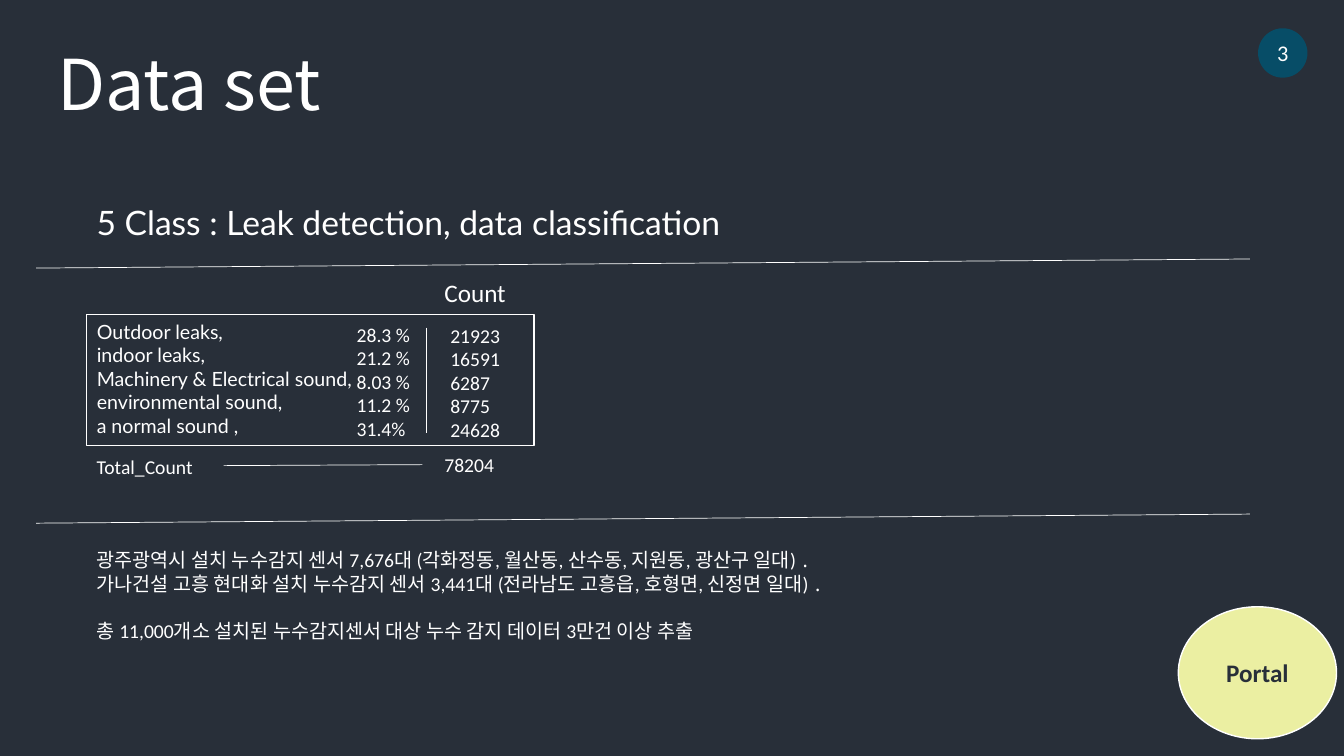
import typing

import lxml.etree
import pptx
import pptx.dml.color
import pptx.enum.shapes
import pptx.enum.text
import pptx.oxml.ns
import pptx.util

Pt = pptx.util.Pt
Shapes = pptx.enum.shapes.MSO_SHAPE
Align = pptx.enum.text.PP_ALIGN
Anchor = pptx.enum.text.MSO_ANCHOR

NAVY = pptx.dml.color.RGBColor(0x28, 0x2F, 0x39)
TEAL = pptx.dml.color.RGBColor(0x07, 0x4D, 0x67)
LIME = pptx.dml.color.RGBColor(0xEB, 0xEF, 0xA2)
WHITE = pptx.dml.color.RGBColor(0xFF, 0xFF, 0xFF)
KOREAN_FONT = "Noto Sans CJK KR"


class Box(typing.NamedTuple):
    left: float
    top: float
    width: float
    height: float


class Style(typing.NamedTuple):
    size: float = 14
    font: str = "Calibri"
    color: pptx.dml.color.RGBColor = WHITE
    bold: bool = False
    align: Align = Align.LEFT
    anchor: Anchor = Anchor.TOP


class Label(typing.NamedTuple):
    box: Box
    lines: list[str]
    style: Style = Style()


class Rule(typing.NamedTuple):
    x1: float
    y1: float
    x2: float
    y2: float


class SoundClass(typing.NamedTuple):
    name: str
    share: str
    count: str


SOUND_CLASSES = [
    SoundClass("Outdoor leaks,", "28.3 %", "21923"),
    SoundClass("indoor leaks,", "21.2 %", "16591"),
    SoundClass("Machinery & Electrical sound,", "8.03 %", "6287"),
    SoundClass("environmental sound,", "11.2 %", "8775"),
    SoundClass("a normal sound ,", "31.4%", "24628"),
]
SENSOR_NOTES = [
    "광주광역시 설치 누수감지 센서 7,676대 (각화정동, 월산동, 산수동, 지원동, 광산구 일대) ․",
    "가나건설 고흥 현대화 설치 누수감지 센서 3,441대 (전라남도 고흥읍, 호형면, 신정면 일대) ․",
    "총 11,000개소 설치된 누수감지센서 대상 누수 감지 데이터 3만건 이상 추출",
]
CENTERED = Style(16, align=Align.CENTER, anchor=Anchor.MIDDLE)
LABELS = [
    Label(Box(892.8, 23, 46.8, 28.8), ["3"], CENTERED),
    Label(Box(61.9, 140.4, 480.2, 36),
          ["5 Class : Leak detection, data classification"], Style(24, "Lato")),
    Label(Box(310.3, 194.4, 72.7, 28.8), ["Count"], Style(18)),
    Label(Box(247.7, 226.8, 79.2, 92.2), [row.share for row in SOUND_CLASSES]),
    Label(Box(314.6, 227.5, 79.2, 92.2), [row.count for row in SOUND_CLASSES]),
    Label(Box(61.9, 321.1, 121, 24.5), ["Total_Count"]),
    Label(Box(310.3, 319.7, 121, 24.5), ["78204"]),
]
RULES = [
    Rule(25.9, 191.5, 892.8, 185),
    Rule(25.9, 373.7, 892.8, 367.2),
    Rule(159.8, 332.6, 301.7, 331.9),
    Rule(304.6, 234, 304.6, 309.6),
]


def lengths(values: typing.Iterable[float]) -> list[pptx.util.Pt]:
    return [Pt(value) for value in values]


def write(shape: typing.Any, lines: list[str], style: Style) -> None:
    frame = shape.text_frame
    frame.word_wrap = True
    frame.auto_size = pptx.enum.text.MSO_AUTO_SIZE.NONE
    frame.vertical_anchor = style.anchor
    for index, line in enumerate(lines):
        paragraph = frame.add_paragraph() if index else frame.paragraphs[0]
        paragraph.alignment = style.align
        paragraph.space_before = Pt(0)
        run = paragraph.add_run()
        run.text = line
        run.font.size = Pt(style.size)
        run.font.name = style.font
        run.font.bold = style.bold
        run.font.color.rgb = style.color


def fill_placeholder(placeholder: typing.Any, label: Label) -> None:
    (placeholder.left, placeholder.top,
     placeholder.width, placeholder.height) = lengths(label.box)
    write(placeholder, label.lines, label.style)
    for paragraph in placeholder.text_frame.paragraphs:
        properties = paragraph._p.get_or_add_pPr()
        properties.set("marL", "0")
        properties.set("indent", "0")
        lxml.etree.SubElement(properties, pptx.oxml.ns.qn("a:buNone"))
        for run in paragraph.runs:
            east_asian = lxml.etree.SubElement(
                run._r.get_or_add_rPr(), pptx.oxml.ns.qn("a:ea"))
            east_asian.set("typeface", KOREAN_FONT)


def add_shape(slide: typing.Any, kind: Shapes, box: Box,
              fill: pptx.dml.color.RGBColor | None, outlined: bool) -> typing.Any:
    shape = slide.shapes.add_shape(kind, *lengths(box))
    shape.shadow.inherit = False
    if fill is None:
        shape.fill.background()
    else:
        shape.fill.solid()
        shape.fill.fore_color.rgb = fill
    if outlined:
        shape.line.color.rgb = WHITE
        shape.line.width = Pt(1)
    else:
        shape.line.fill.background()
    return shape


def add_rule(slide: typing.Any, rule: Rule) -> None:
    connector = slide.shapes.add_connector(
        pptx.enum.shapes.MSO_CONNECTOR.STRAIGHT, *lengths(rule))
    connector.line.color.rgb = WHITE
    connector.line.width = Pt(0.5)
    lxml.etree.SubElement(connector._element.spPr, pptx.oxml.ns.qn("a:effectLst"))


def add_label(slide: typing.Any, label: Label) -> None:
    write(slide.shapes.add_textbox(*lengths(label.box)), label.lines, label.style)


presentation = pptx.Presentation()
presentation.slide_width = Pt(960)
presentation.slide_height = Pt(540)
slide = presentation.slides.add_slide(presentation.slide_layouts[3])
slide.background.fill.solid()
slide.background.fill.fore_color.rgb = NAVY

title = slide.shapes.title
class_list, sensor_notes = slide.placeholders[1], slide.placeholders[2]
fill_placeholder(title, Label(Box(33.8, 25.2, 847.4, 67.7), ["Data set"],
                              Style(50, KOREAN_FONT)))
fill_placeholder(class_list, Label(Box(61.9, 224.6, 298.8, 92.2),
                                   [row.name for row in SOUND_CLASSES],
                                   Style(font="Lato")))
fill_placeholder(sensor_notes, Label(Box(61.9, 388.1, 883.4, 74.9), SENSOR_NOTES))
sensor_notes.text_frame.paragraphs[-1].space_before = Pt(17)

add_shape(slide, Shapes.OVAL, Box(898.6, 20.2, 35.3, 35.3), TEAL, False)
add_shape(slide, Shapes.RECTANGLE, Box(61.9, 224.6, 319.7, 93.6), None, True)
data_source = add_shape(slide, Shapes.OVAL, Box(841.7, 433.4, 113, 94.3), LIME, True)
write(data_source, ["Portal"], CENTERED._replace(size=18, color=NAVY, bold=True))
for rule in RULES:
    add_rule(slide, rule)
for label in LABELS:
    add_label(slide, label)

presentation.save("out.pptx")
